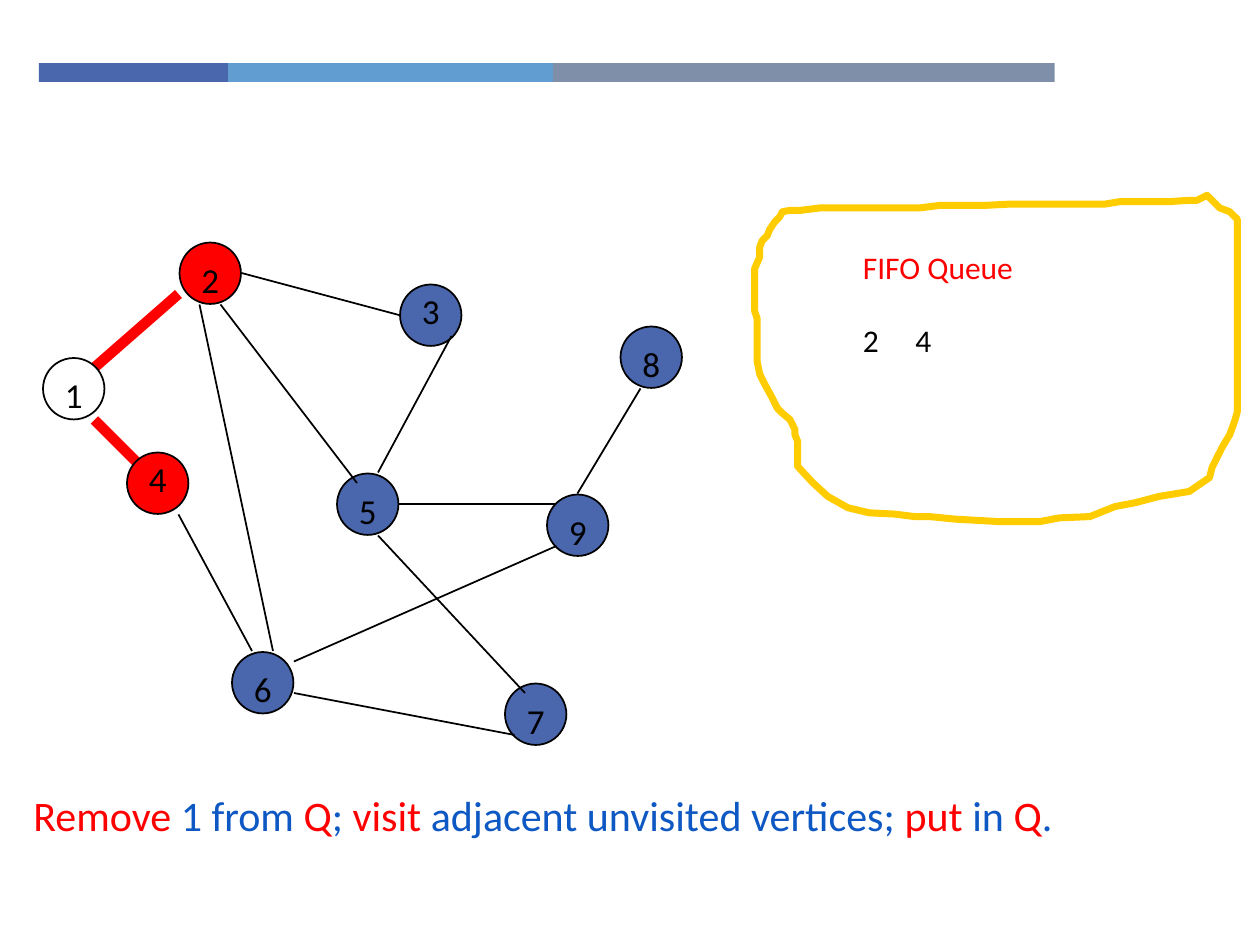
from dataclasses import dataclass
from lxml.etree import SubElement
from pptx import Presentation
from pptx.dml.color import RGBColor
from pptx.enum.shapes import MSO_CONNECTOR, MSO_SHAPE
from pptx.oxml.ns import qn
from pptx.util import Inches, Pt


@dataclass(frozen=True)
class Theme:
    font: str = "Calibri"
    black: str = "000000"
    white: str = "FFFFFF"
    red: str = "FF0000"
    blue: str = "0E58C4"
    node: str = "4A66AC"
    gold: str = "FFCC00"
    bars: tuple = ("4A66AC", "629DD1", "7F8FA9")
    label: int = 20
    queue: int = 18
    body: int = 24
    thin: int = 1
    mid: int = 4
    thick: int = 6


THEME = Theme()
COLS, ROWS = 120, 90
WIDTH, HEIGHT = Inches(10), Inches(7.5)
DISC = 5.85

OPEN = {3: (38, 27), 8: (59, 31), 5: (32, 45), 9: (52, 47),
        6: (22, 62), 7: (48, 65)}
SEEN = {1: (4, 34, THEME.white), 2: (17, 23, THEME.red), 4: (12, 43, THEME.red)}
RAISED = (3, 4)

TREE = [(17, 28, 9, 35), (9, 40, 13, 44)]
EDGES = [(21, 29, 34, 46), (17, 49, 24, 62), (28, 66, 49, 70),
         (43, 32, 36, 45), (36, 51, 50, 66), (61, 37, 55, 47),
         (38, 48, 53, 48), (23, 26, 38, 30), (19, 29, 26, 62),
         (28, 63, 53, 52)]

LOOP = [(958, 155), (950, 159), (944, 159), (928, 160), (889, 160), (877, 162),
        (802, 162), (782, 163), (746, 163), (730, 165), (651, 165), (635, 167),
        (627, 167), (621, 168), (619, 172), (615, 176), (611, 182), (609, 187),
        (605, 191), (603, 196), (603, 204), (599, 213), (599, 247), (601, 253),
        (601, 287), (603, 297), (607, 305), (613, 316), (615, 320), (617, 324),
        (621, 328), (627, 333), (631, 341), (631, 345), (633, 350), (633, 370),
        (645, 383), (657, 394), (673, 403), (690, 407), (710, 408), (726, 410),
        (738, 410), (758, 412), (794, 414), (825, 414), (841, 411), (865, 410),
        (885, 402), (901, 399), (920, 394), (932, 392), (944, 390), (960, 379),
        (962, 371), (966, 363), (970, 355), (976, 345), (980, 334), (982, 327),
        (982, 174), (976, 168), (968, 165)]


def grid(*cells):
    units = (WIDTH / COLS, HEIGHT / ROWS)
    return [round(cell * units[i % 2]) for i, cell in enumerate(cells)]


def color(code):
    return RGBColor.from_string(code)


def stroke(line, code, width):
    line.color.rgb = color(code)
    line.width = Pt(width)


def write(shapes, cells, text, *, size, ink=THEME.black, hang=0):
    box = shapes.add_textbox(*grid(*cells))
    box.text_frame.word_wrap = True
    para = box.text_frame.paragraphs[0]
    if hang:
        props = para._p.get_or_add_pPr()
        props.set("marL", str(Inches(hang)))
        props.set("indent", str(-Inches(hang)))
    parts = [(text, ink)] if isinstance(text, str) else text
    for words, tint in parts:
        run = para.add_run()
        run.text = words
        run.font.name = THEME.font
        run.font.size = Pt(size)
        run.font.color.rgb = color(tint)


def disc(shapes, col, row, fill):
    shape = shapes.add_shape(MSO_SHAPE.OVAL, *grid(col + 0.1, row + 0.1, DISC, DISC))
    shape.shadow.inherit = False
    shape.fill.solid()
    shape.fill.fore_color.rgb = color(fill)
    stroke(shape.line, THEME.black, THEME.thin)


def label(shapes, name, col, row):
    top = row if name in RAISED else row + 1
    write(shapes, (col + 1, top, 3, 5.2), str(name), size=THEME.label)


def edge(shapes, ends, ink, width):
    line = shapes.add_connector(MSO_CONNECTOR.STRAIGHT, *grid(*ends))
    stroke(line.line, ink, width)
    SubElement(line._element.spPr, qn("a:effectLst"))


def banner(shapes):
    group = shapes.add_group_shape().shapes
    left = 0.031
    for share, fill in zip((0.15, 0.258, 0.398), THEME.bars):
        bar = group.add_shape(MSO_SHAPE.RECTANGLE, round(WIDTH * left),
                              round(HEIGHT / 15), round(WIDTH * share),
                              round(HEIGHT * 0.02))
        bar.shadow.inherit = False
        bar.fill.solid()
        bar.fill.fore_color.rgb = color(fill)
        bar.line.fill.background()
        left += share


def graph(shapes):
    for col, row in OPEN.values():
        disc(shapes, col, row, THEME.node)
    for ends in TREE:
        edge(shapes, ends, THEME.red, THEME.thick)
    for ends in EDGES:
        edge(shapes, ends, THEME.black, THEME.thin)
    for name, (col, row) in OPEN.items():
        label(shapes, name, col, row)
    for name, (col, row, fill) in SEEN.items():
        group = shapes.add_group_shape().shapes
        disc(group, col, row, fill)
        label(group, name, col, row)


def queue(shapes):
    write(shapes, (81, 23, 37, 10.3), "FIFO Queue", size=THEME.queue, ink=THEME.red)
    for slot, name in enumerate("24"):
        write(shapes, (81 + 5 * slot, 30, 5, 7.5), name, size=THEME.queue)
    pen = shapes.build_freeform(*LOOP[0], scale=WIDTH / 1000)
    pen.add_line_segments(LOOP[1:], close=True)
    loop = pen.convert_to_shape()
    loop.shadow.inherit = False
    loop.fill.background()
    stroke(loop.line, THEME.gold, THEME.mid)


def main():
    deck = Presentation()
    deck.slide_width, deck.slide_height = WIDTH, HEIGHT
    shapes = deck.slides.add_slide(deck.slide_layouts[6]).shapes
    red, blue = THEME.red, THEME.blue
    banner(shapes)
    write(shapes, (2, 74.6, 118, 9.4),
          [("Remove", red), (" 1 from ", blue), ("Q", red), ("; ", blue),
           ("visit", red), (" adjacent unvisited vertices; ", blue),
           ("put", red), (" in ", blue), ("Q", red), (".", blue)],
          size=THEME.body, hang=0.5)
    graph(shapes)
    queue(shapes)
    deck.save("out.pptx")


if __name__ == "__main__":
    main()
